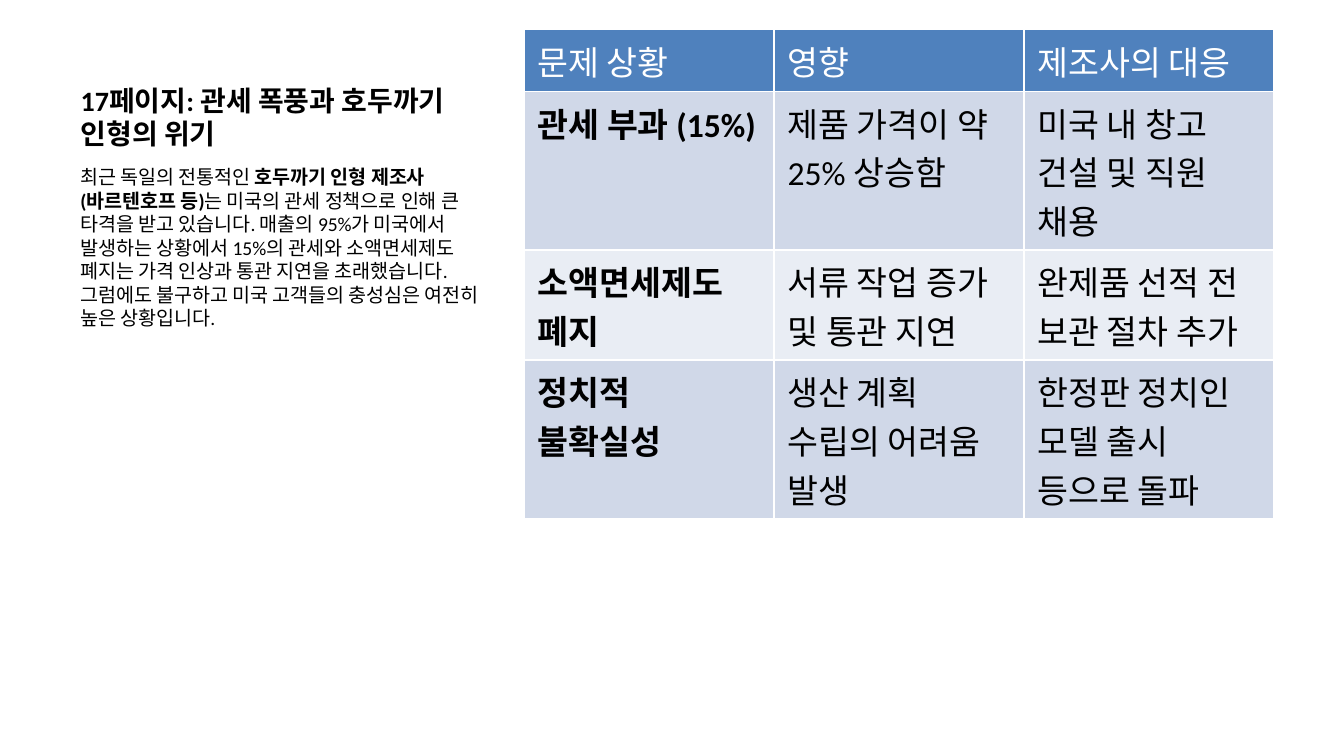
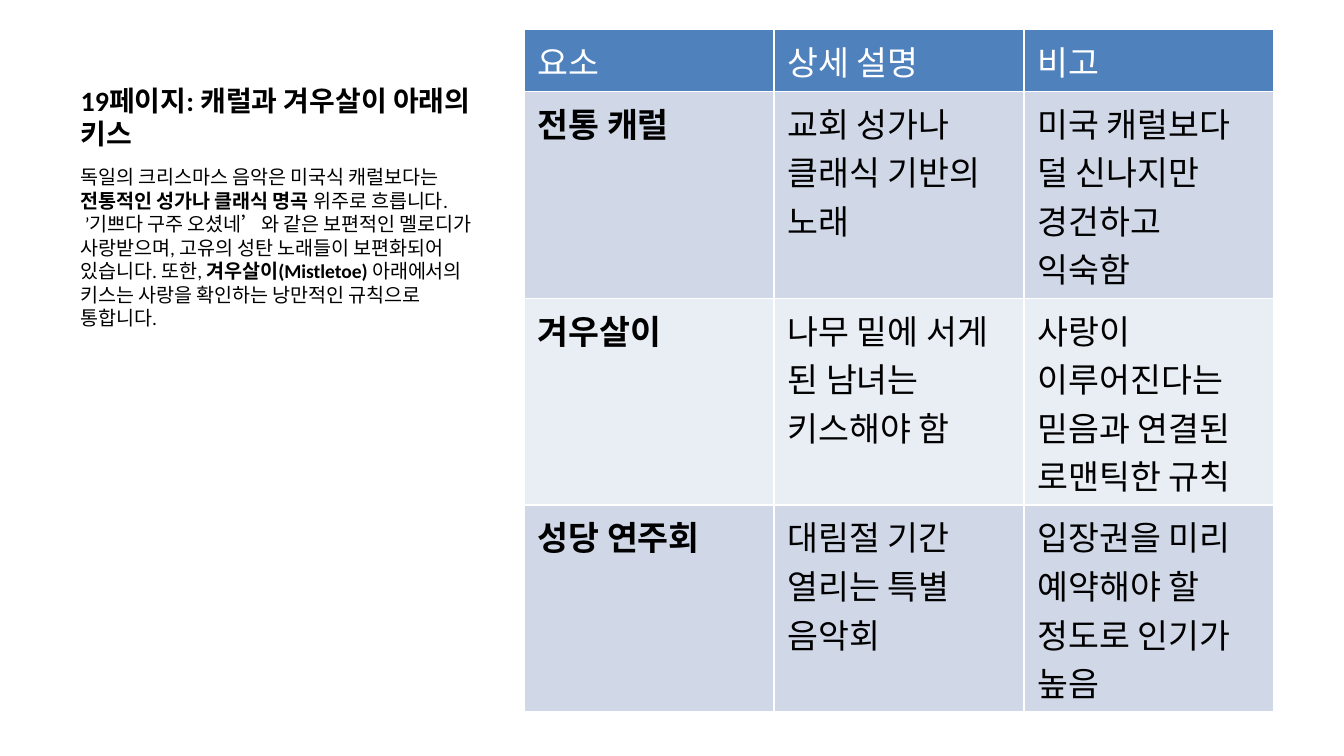
from dataclasses import dataclass

import pptx
import pptx.dml.color
import pptx.enum.text
import pptx.presentation
import pptx.slide
import pptx.text.text
import pptx.util
from pptx.util import Inches

FONT = "Calibri"
BLACK, WHITE = "000000", "FFFFFF"
HEADER_FILL = "4F81BD"
BAND_FILLS = ("D0D8E8", "E9EDF4")

TITLE_ONLY = 5
SLIDE_WIDTH = Inches(10)
SLIDE_HEIGHT = Inches(10 * 9 / 16)
MARGIN_LEFT, MARGIN_TOP = Inches(0.5), Inches(0.22)
TEXT_WIDTH = Inches(3.29)
TITLE_HEIGHT = Inches(0.95)
BODY_TOP, BODY_HEIGHT = Inches(1.18), Inches(3.85)
TABLE_LEFT, TABLE_HEIGHT = Inches(3.9), Inches(4.79)
COLUMN_WIDTH = Inches(1.86)
LINE_HEIGHT, CELL_PADDING = Inches(0.36), Inches(0.1)

TITLE_SIZE, BODY_SIZE, TABLE_SIZE = 15, 10.5, 18


@dataclass(frozen=True)
class Span:
    text: str
    bold: bool = False


@dataclass(frozen=True)
class Row:
    line_count: int
    texts: tuple[str, ...]


@dataclass(frozen=True)
class Page:
    title: str
    body: tuple[Span, ...]
    rows: tuple[Row, ...]


PAGES = (
    Page(
        "17페이지: 관세 폭풍과 호두까기 인형의 위기",
        (
            Span("최근 독일의 전통적인 "),
            Span("호두까기 인형 제조사(바르텐호프 등)", bold=True),
            Span("는 미국의 관세 정책으로 인해 큰 타격을 받고 있습니다. "
                 "매출의 95%가 미국에서 발생하는 상황에서 15%의 관세와 "
                 "소액면세제도 폐지는 가격 인상과 통관 지연을 초래했습니다. "
                 "그럼에도 불구하고 미국 고객들의 충성심은 여전히 높은 상황입니다."),
        ),
        (
            Row(1, ("문제 상황", "영향", "제조사의 대응")),
            Row(3, ("관세 부과 (15%)", "제품 가격이 약 25% 상승함",
                    "미국 내 창고 건설 및 직원 채용")),
            Row(2, ("소액면세제도 폐지", "서류 작업 증가 및 통관 지연",
                    "완제품 선적 전 보관 절차 추가")),
            Row(3, ("정치적 불확실성", "생산 계획 수립의 어려움 발생",
                    "한정판 정치인 모델 출시 등으로 돌파")),
        ),
    ),
    Page(
        "19페이지: 캐럴과 겨우살이 아래의 키스",
        (
            Span("독일의 크리스마스 음악은 미국식 캐럴보다는 "),
            Span("전통적인 성가나 클래식 명곡", bold=True),
            Span(" 위주로 흐릅니다. ’기쁘다 구주 오셨네’와 같은 보편적인 멜로디가 "
                 "사랑받으며, 고유의 성탄 노래들이 보편화되어 있습니다. 또한, "),
            Span("겨우살이(Mistletoe)", bold=True),
            Span(" 아래에서의 키스는 사랑을 확인하는 낭만적인 규칙으로 통합니다."),
        ),
        (
            Row(1, ("요소", "상세 설명", "비고")),
            Row(4, ("전통 캐럴", "교회 성가나 클래식 기반의 노래",
                    "미국 캐럴보다 덜 신나지만 경건하고 익숙함")),
            Row(4, ("겨우살이", "나무 밑에 서게 된 남녀는 키스해야 함",
                    "사랑이 이루어진다는 믿음과 연결된 로맨틱한 규칙")),
            Row(4, ("성당 연주회", "대림절 기간 열리는 특별 음악회",
                    "입장권을 미리 예약해야 할 정도로 인기가 높음")),
        ),
    ),
)


def color(value: str) -> pptx.dml.color.RGBColor:
    return pptx.dml.color.RGBColor.from_string(value)


def add_run(paragraph: pptx.text.text._Paragraph, span: Span, size: float,
            text_color: str = BLACK) -> None:
    run = paragraph.add_run()
    run.text = span.text
    run.font.name = FONT
    run.font.size = pptx.util.Pt(size)
    run.font.bold = span.bold
    run.font.color.rgb = color(text_color)


def add_title(slide: pptx.slide.Slide, text: str) -> None:
    title = slide.shapes.title
    title.left, title.top = MARGIN_LEFT, MARGIN_TOP
    title.width, title.height = TEXT_WIDTH, TITLE_HEIGHT
    frame = title.text_frame
    frame.auto_size = pptx.enum.text.MSO_AUTO_SIZE.NONE
    frame.vertical_anchor = pptx.enum.text.MSO_ANCHOR.BOTTOM
    paragraph = frame.paragraphs[0]
    paragraph.alignment = pptx.enum.text.PP_ALIGN.LEFT
    add_run(paragraph, Span(text, bold=True), TITLE_SIZE)


def add_body(slide: pptx.slide.Slide, spans: tuple[Span, ...]) -> None:
    box = slide.shapes.add_textbox(MARGIN_LEFT, BODY_TOP, TEXT_WIDTH, BODY_HEIGHT)
    box.text_frame.word_wrap = True
    paragraph = box.text_frame.paragraphs[0]
    paragraph.space_before = pptx.util.Pt(BODY_SIZE * 0.2)
    for span in spans:
        add_run(paragraph, span, BODY_SIZE)


def add_table(slide: pptx.slide.Slide, rows: tuple[Row, ...]) -> None:
    """Add the table; its white rules come from the default table style."""
    column_count = len(rows[0].texts)
    graphic_frame = slide.shapes.add_table(
        len(rows), column_count, TABLE_LEFT, MARGIN_TOP,
        COLUMN_WIDTH * column_count, TABLE_HEIGHT)
    table = graphic_frame.table
    for row_index, row in enumerate(rows):
        is_header = row_index == 0
        fill = HEADER_FILL if is_header else BAND_FILLS[(row_index - 1) % 2]
        table.rows[row_index].height = CELL_PADDING + LINE_HEIGHT * row.line_count
        for column_index, text in enumerate(row.texts):
            cell = table.cell(row_index, column_index)
            cell.fill.solid()
            cell.fill.fore_color.rgb = color(fill)
            span = Span(text, bold=column_index == 0 and not is_header)
            add_run(cell.text_frame.paragraphs[0], span, TABLE_SIZE,
                    WHITE if is_header else BLACK)
    graphic_frame.height = TABLE_HEIGHT


def add_page(presentation: pptx.presentation.Presentation, page: Page) -> None:
    slide = presentation.slides.add_slide(presentation.slide_layouts[TITLE_ONLY])
    add_title(slide, page.title)
    add_body(slide, page.body)
    add_table(slide, page.rows)


def main() -> None:
    presentation = pptx.Presentation()
    presentation.slide_width = SLIDE_WIDTH
    presentation.slide_height = SLIDE_HEIGHT
    for page in PAGES:
        add_page(presentation, page)
    presentation.save("out.pptx")


if __name__ == "__main__":
    main()
